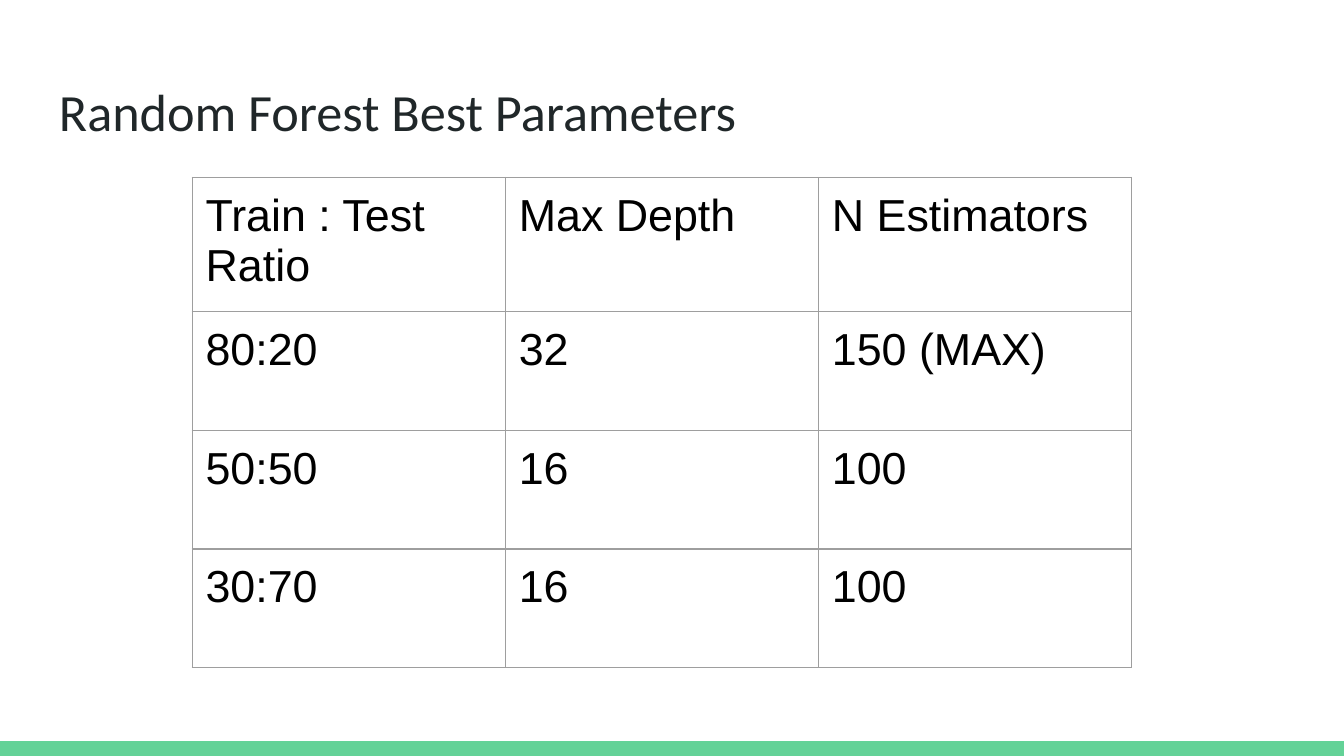
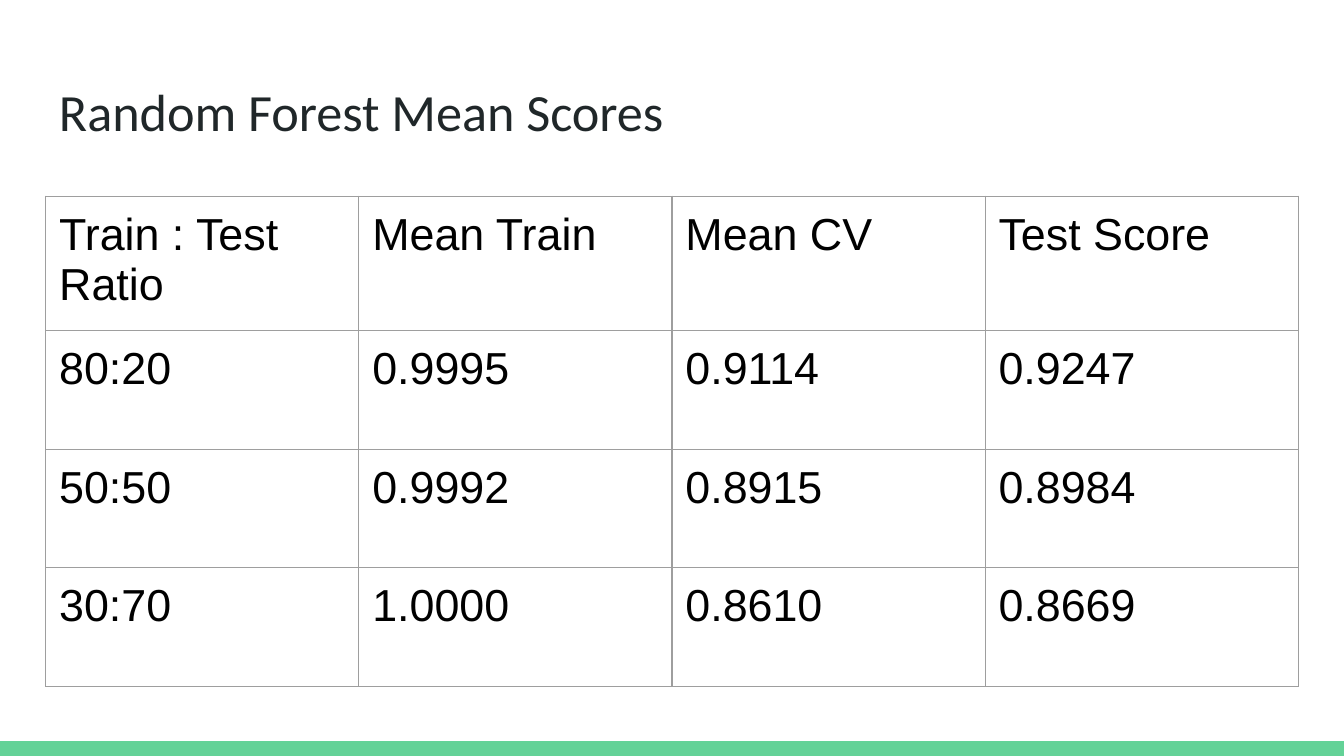
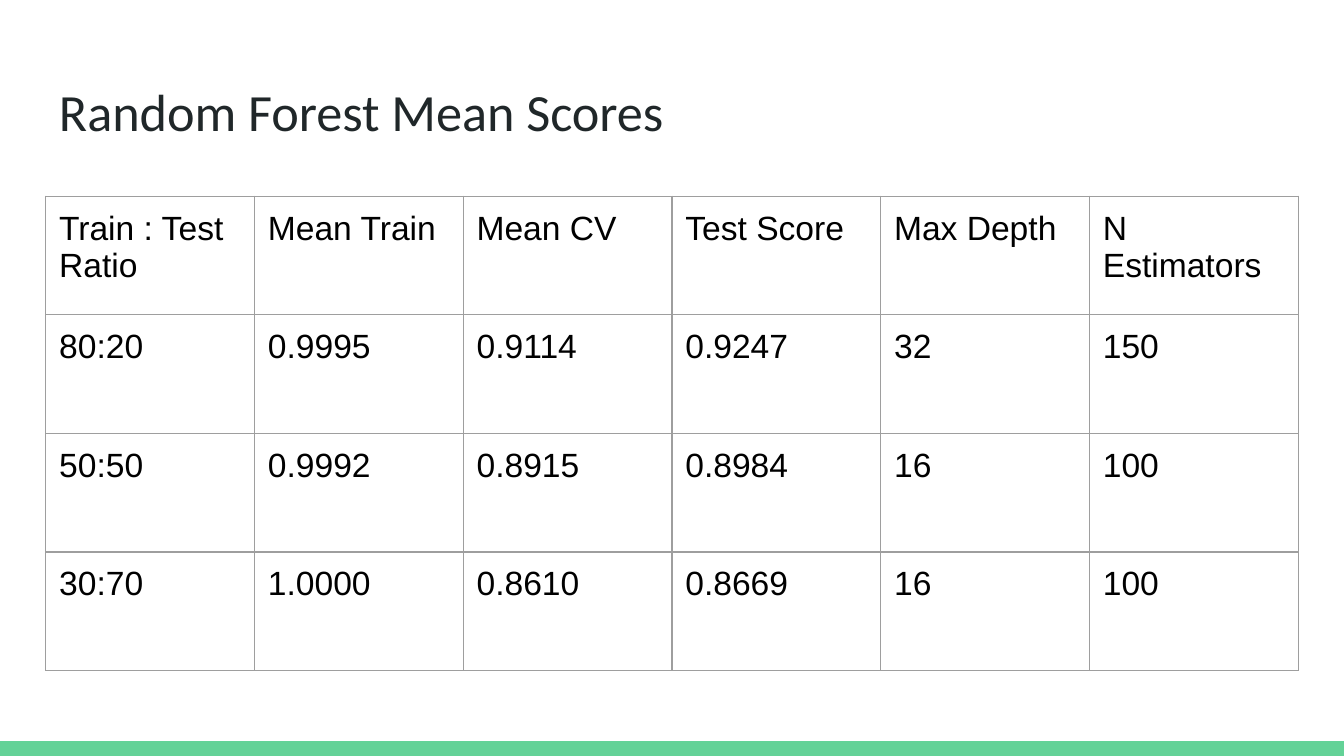
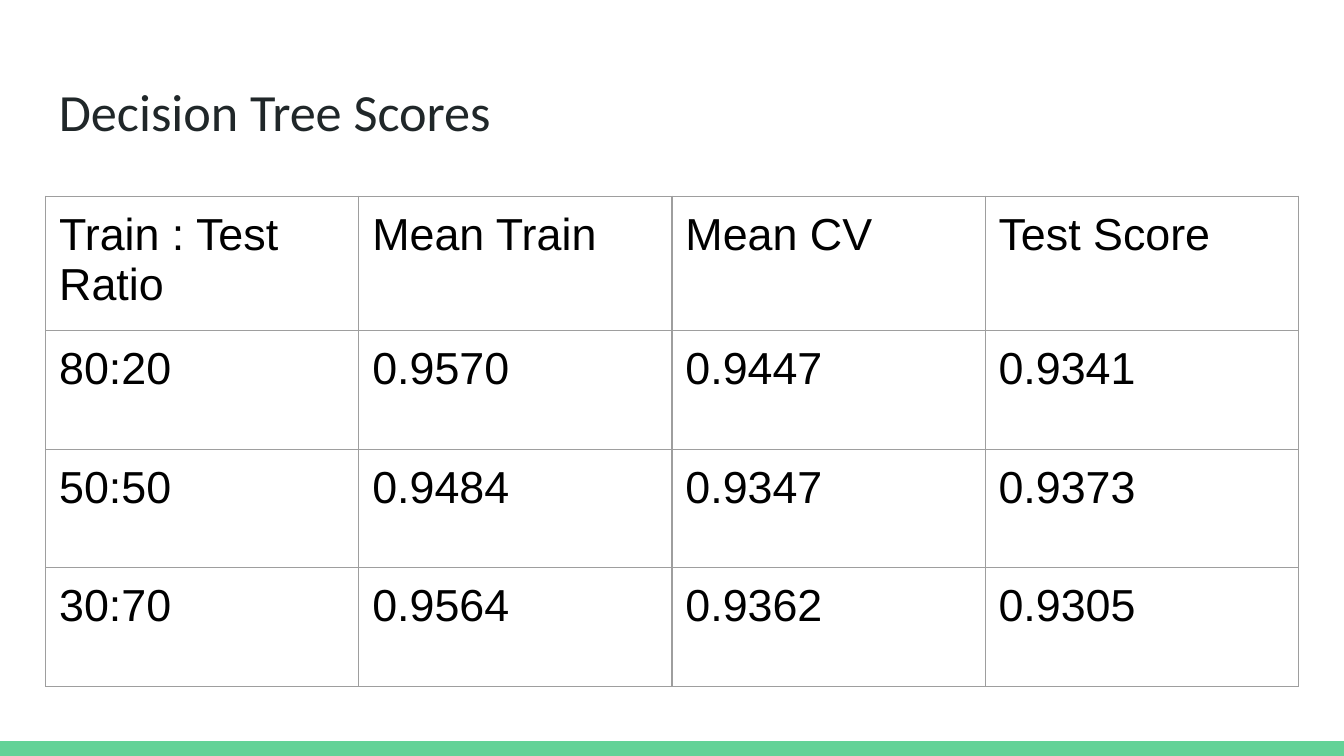
"""Build four slides of model parameters and scores."""
from lxml.etree import SubElement
from pptx import Presentation
from pptx.dml.color import RGBColor
from pptx.enum.shapes import MSO_SHAPE as Shape
from pptx.enum.text import MSO_ANCHOR as Anchor
from pptx.oxml.ns import qn
from pptx.util import Inches, Pt

GREEN, INK, BLACK, GREY, WHITE = "63D297", "202729", "000000", "9E9E9E", "FFFFFF"
INSET = Inches(0.1)
MARGIN = 0.34
CONTENT_WIDTH = 9.32
ROW_HEIGHT = 3.53 / 4
FRAME_SIZE = Inches(3.28)
BORDER_WIDTH = Pt(0.75)


def color(value):
    return RGBColor.from_string(value)


def write(frame, text, *, size, font, ink):
    para = frame.paragraphs[0]
    span = para.add_run()
    span.text = text
    span.font.size = Pt(size)
    span.font.name = font
    span.font.color.rgb = color(ink)


ratio_column = ["Train : Test Ratio", "80:20", "50:50", "30:70"]
score_header = ["Mean Train", "Mean CV", "Test Score"]
forest_scores = [
    score_header,
    ["0.9995", "0.9114", "0.9247"],
    ["0.9992", "0.8915", "0.8984"],
    ["1.0000", "0.8610", "0.8669"],
]
tree_scores = [
    score_header,
    ["0.9570", "0.9447", "0.9341"],
    ["0.9484", "0.9347", "0.9373"],
    ["0.9564", "0.9362", "0.9305"],
]
parameter_header = ["Max Depth", "N Estimators"]
best_parameters = [parameter_header, ["32", "150 (MAX)"], ["16", "100"], ["16", "100"]]
used_parameters = [parameter_header, ["32", "150"], ["16", "100"], ["16", "100"]]
forest_summary = [
    scores + parameters for scores, parameters in zip(forest_scores, used_parameters)
]

pages = [
    ("Random Forest Best Parameters", best_parameters, 1.43, 1.32, CONTENT_WIDTH / 4, 24),
    ("Random Forest Mean Scores", forest_scores, MARGIN, 1.46, CONTENT_WIDTH / 4, 24),
    ("Random Forest Mean Scores", forest_summary, MARGIN, 1.46, CONTENT_WIDTH / 6, 18),
    ("Decision Tree Scores", tree_scores, MARGIN, 1.46, CONTENT_WIDTH / 4, 24),
]

deck = Presentation()
deck.slide_width = Inches(10)
deck.slide_height = deck.slide_width * 9 // 16

master_fill = deck.slide_master.background.fill
master_fill.solid()
master_fill.fore_color.rgb = color(WHITE)

for title, results, left, top, column_width, size in pages:
    page = deck.slides.add_slide(deck.slide_layouts[6])

    band_height = Inches(0.11)
    band = page.shapes.add_shape(
        Shape.RECTANGLE, 0, deck.slide_height - band_height, deck.slide_width, band_height
    )
    band.shadow.inherit = False
    band.fill.solid()
    band.fill.fore_color.rgb = color(GREEN)
    band.line.fill.background()

    box = page.shapes.add_textbox(
        Inches(MARGIN), Inches(0.49), Inches(CONTENT_WIDTH), Inches(0.63)
    )
    frame = box.text_frame
    frame.word_wrap = True
    frame.vertical_anchor = Anchor.TOP
    frame.margin_left = frame.margin_right = INSET
    frame.margin_top = frame.margin_bottom = INSET
    write(frame, title, size=28, font="Calibri", ink=INK)

    rows = [[ratio] + values for ratio, values in zip(ratio_column, results)]
    table_frame = page.shapes.add_table(
        len(rows), len(rows[0]), Inches(left), Inches(top), FRAME_SIZE, FRAME_SIZE
    )
    table = table_frame.table
    table.first_row = table.horz_banding = False
    for column in table.columns:
        column.width = Inches(column_width)
    for row, texts in zip(table.rows, rows):
        row.height = Inches(ROW_HEIGHT)
        for cell, text in zip(row.cells, texts):
            cell.margin_left = cell.margin_right = INSET
            cell.margin_top = cell.margin_bottom = INSET
            write(cell.text_frame, text, size=size, font="Arial", ink=BLACK)
            properties = cell._tc.get_or_add_tcPr()
            for side in ("a:lnL", "a:lnR", "a:lnT", "a:lnB"):
                border = SubElement(properties, qn(side), w=str(BORDER_WIDTH))
                border_fill = SubElement(border, qn("a:solidFill"))
                SubElement(border_fill, qn("a:srgbClr"), val=GREY)
            cell.fill.background()
    table_frame.width = table_frame.height = FRAME_SIZE

deck.save("out.pptx")
